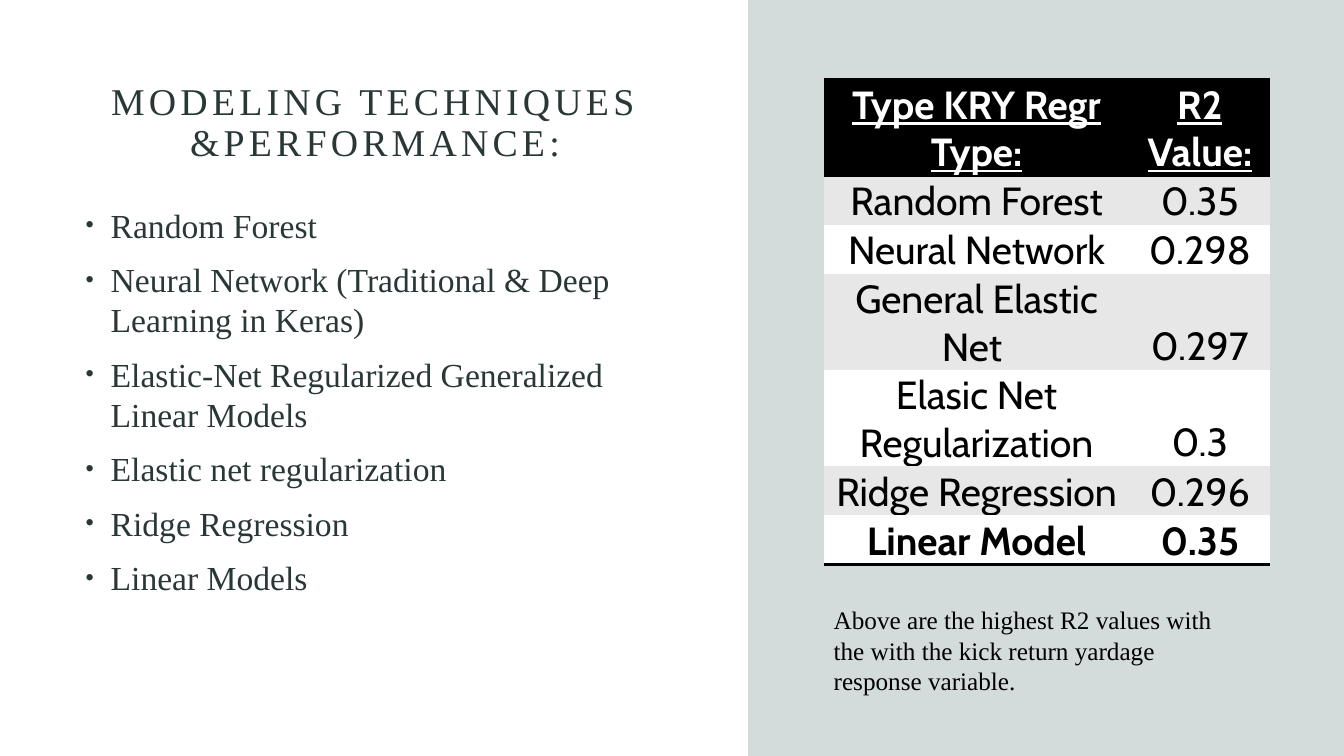
import pptx
import pptx.util
import pptx.dml.color
import pptx.enum.shapes
import pptx.enum.text
import pptx.oxml
import pptx.oxml.ns

Inches, Pt = pptx.util.Inches, pptx.util.Pt
Align, Anchor = pptx.enum.text.PP_ALIGN, pptx.enum.text.MSO_ANCHOR
HUES = {"ink": "293737", "panel": "557272", "black": "000000",
        "white": "FFFFFF", "band": "E7E7E7"}
SERIF, SANS = "Times New Roman", "Cabin"
NS = pptx.oxml.ns.nsdecls("a")

TITLE = "MODELING TECHNIQUES &PERFORMANCE:"
MODELS = ["Random Forest",
          "Neural Network (Traditional & Deep Learning in Keras)",
          "Elastic-Net Regularized Generalized Linear Models",
          "Elastic net regularization", "Ridge Regression", "Linear Models"]
SCORES = [("Type KRY Regr Type:", "R2 Value:"), ("Random Forest", "0.35"),
          ("Neural Network", "0.298"), ("General Elastic Net ", "0.297"),
          ("Elasic Net Regularization", "0.3"), ("Ridge Regression", "0.296"),
          ("Linear Model", "0.35")]
NOTE = ("Above are the highest R2 values with the with the kick return "
        "yardage response variable.")


def hue(name):
    return pptx.dml.color.RGBColor.from_string(HUES[name])


def assign(item, values):
    for key, value in values.items():
        setattr(item, key, value)


def write(para, text, color, para_set=None, **font_set):
    run = para.add_run()
    run.text = text
    assign(run.font, font_set)
    run.font.color.rgb = hue(color)
    assign(para, para_set or {})
    return run


def add_box(slide, box, anchor=Anchor.TOP):
    frame = slide.shapes.add_textbox(*map(Inches, box)).text_frame
    assign(frame, {"word_wrap": True, "vertical_anchor": anchor})
    return frame


def add_title(slide):
    frame = add_box(slide, (0.76, 0.59, 5.92, 1.09), Anchor.BOTTOM)
    run = write(frame.paragraphs[0], TITLE, "ink",
                {"alignment": Align.CENTER, "line_spacing": 0.9},
                name=SERIF, size=Pt(27))
    run.font._element.set("spc", "300")


def add_list(slide, items):
    frame = add_box(slide, (0.75, 1.98, 5.93, 4.92))
    for i, text in enumerate(items):
        para = frame.add_paragraph() if i else frame.paragraphs[0]
        write(para, text, "ink", {"space_before": Pt(10)},
              name=SERIF, size=Pt(24))
        # Hanging bullet
        props = para._p.get_or_add_pPr()
        props.set("marL", str(Inches(0.25)))
        props.set("indent", str(Inches(-0.25)))
        for mark in ('buSzPct {} val="70000"', 'buFont {} typeface="Arial"',
                     'buChar {} char="•"'):
            props.append(pptx.oxml.parse_xml(f"<a:{mark.format(NS)}/>"))


def add_panel(slide):
    panel = slide.shapes.add_shape(
        pptx.enum.shapes.MSO_SHAPE.RECTANGLE,
        *map(Inches, (7.42, 0, 5.92, 7.5)))
    panel.shadow.inherit = False
    panel.line.fill.background()
    panel.fill.solid()
    panel.fill.fore_color.rgb = hue("panel")
    # Quarter opacity
    shade = panel._element.spPr.find(".//" + pptx.oxml.ns.qn("a:srgbClr"))
    shade.append(pptx.oxml.parse_xml(f'<a:alpha {NS} val="25000"/>'))


def add_edge(cell, side):
    cell._tc.get_or_add_tcPr().append(pptx.oxml.parse_xml(
        f'<a:ln{side} {NS} w="{Pt(2)}"><a:solidFill>'
        f'<a:srgbClr val="{HUES["black"]}"/></a:solidFill></a:ln{side}>'))


def add_scores(slide, rows):
    table = slide.shapes.add_table(
        len(rows), 2, *map(Inches, (8.17, 0.79, 4.43, 4.07))).table
    assign(table, {"first_row": False, "horz_banding": False})
    # Plain style without a grid
    style = table._tbl.tblPr.find(pptx.oxml.ns.qn("a:tableStyleId"))
    style.text = "{2D5ABB26-0587-4C30-8999-92F81FD0307C}"
    for col, width in zip(table.columns, (3.03, 1.4)):
        col.width = Inches(width)
    last = len(rows) - 1
    for r, row in enumerate(rows):
        table.rows[r].height = Inches(0.81 if r in (0, 3, 4) else 0.41)
        fill = "black" if r == 0 else "band" if r % 2 else "white"
        edges = {0: "TB", last: "B"}.get(r, "")
        for c, text in enumerate(row):
            cell = table.cell(r, c)
            assign(cell, {"vertical_anchor": Anchor.BOTTOM,
                          "margin_left": Inches(0.02),
                          "margin_right": Inches(0.02),
                          "margin_top": Inches(0.02), "margin_bottom": 0})
            for side in edges:
                add_edge(cell, side)
            cell.fill.solid()
            cell.fill.fore_color.rgb = hue(fill)
            write(cell.text_frame.paragraphs[0], text,
                  "black" if r else "white", {"alignment": Align.CENTER},
                  name=SANS, size=Pt(28), bold=r in (0, last),
                  underline=r == 0)


def add_note(slide):
    frame = add_box(slide, (8.17, 5.95, 4.29, 1.01))
    write(frame.paragraphs[0], NOTE, "black", name=SERIF, size=Pt(18))


def main():
    deck = pptx.Presentation()
    assign(deck, {"slide_width": Inches(13.33), "slide_height": Inches(7.5)})
    slide = deck.slides.add_slide(deck.slide_layouts[6])
    # Left side
    add_title(slide)
    add_list(slide, MODELS)
    # Right side
    add_panel(slide)
    add_scores(slide, SCORES)
    add_note(slide)
    deck.save("out.pptx")


if __name__ == "__main__":
    main()
